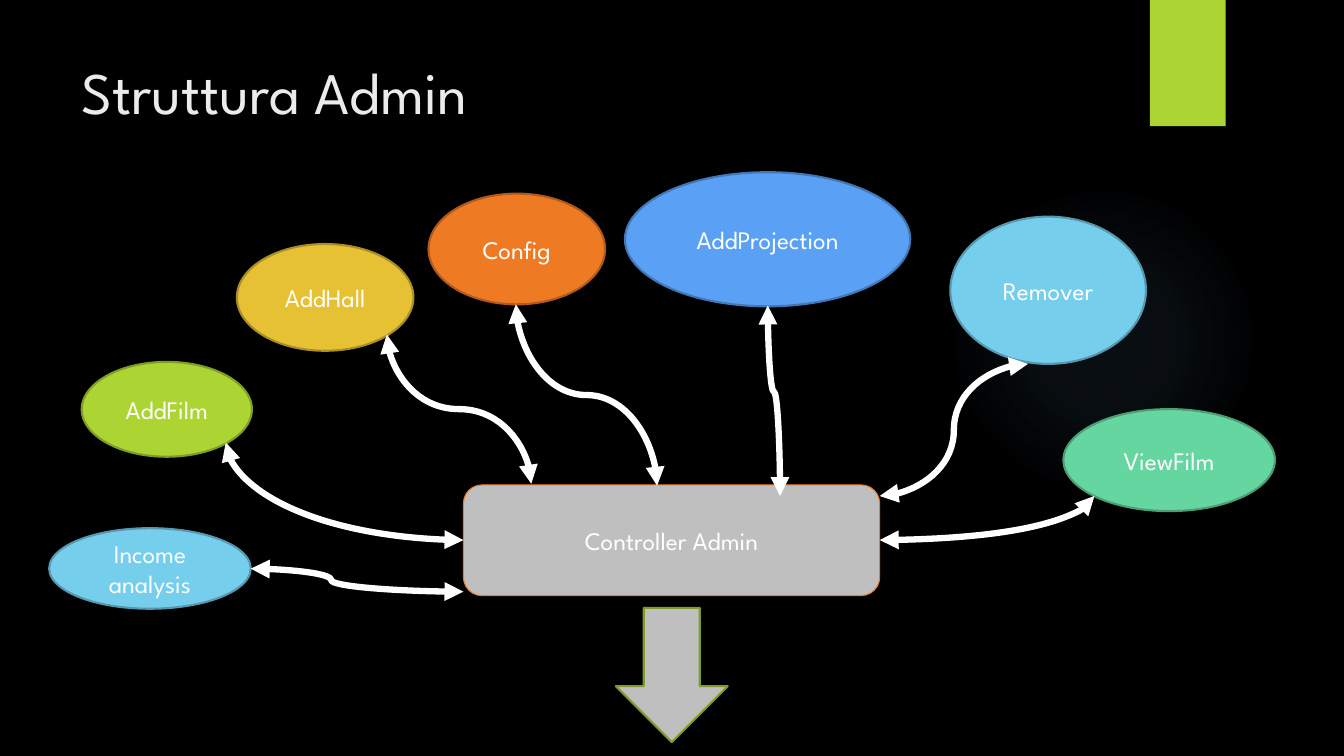
"""Build the slide that shows how the admin controller links to its screens."""
from dataclasses import dataclass

from lxml import etree
from pptx import Presentation
from pptx.dml.color import RGBColor
from pptx.enum.shapes import MSO_CONNECTOR, MSO_SHAPE
from pptx.enum.text import MSO_ANCHOR, PP_ALIGN
from pptx.oxml import parse_xml
from pptx.oxml.ns import nsdecls, qn
from pptx.shapes.autoshape import Shape
from pptx.slide import Slide
from pptx.text.text import TextFrame
from pptx.util import Cm, Pt

CURVE = MSO_CONNECTOR.CURVE
ELLIPSE = MSO_SHAPE.OVAL
RECTANGLE = MSO_SHAPE.RECTANGLE
ROUNDED = MSO_SHAPE.ROUNDED_RECTANGLE
DOWN_ARROW = MSO_SHAPE.DOWN_ARROW
CENTER, LEFT = PP_ALIGN.CENTER, PP_ALIGN.LEFT
MIDDLE, TOP = MSO_ANCHOR.MIDDLE, MSO_ANCHOR.TOP
FONT = "League Spartan"
QUARTER_TURN = 5400000
COLORS = {
    "black": "000000", "white": "FFFFFF", "title": "EBEBEB", "glow": "7AC4F0",
    "lime": "ACD433", "lime edge": "7F9D26", "gold": "E6C133", "gold edge": "AA8F26",
    "orange": "EF7A24", "orange edge": "B15A1B", "blue": "5AA0F5", "blue edge": "4376B5",
    "sky": "75CEEC", "sky edge": "5798AF", "mint": "65D6A0", "mint edge": "4B9E76",
    "gray": "BFBFBF",
}


@dataclass(frozen=True)
class Box:
    """A filled shape with its place in centimetres."""
    left: float
    top: float
    width: float
    height: float
    fill: str
    edge: str = ""
    text: str = ""
    kind: MSO_SHAPE = ELLIPSE
    edge_width: float = 1.5
    shadow: bool = False


@dataclass(frozen=True)
class Link:
    """A curved double arrow; bend is the place of its turn in percent."""
    start: tuple[float, float]
    end: tuple[float, float]
    downward: bool = True
    single_bend: bool = False
    bend: float = 50


GLOW = Box(23.9, 4.65, 7.82, 7.82, "glow")
BOXES = [
    Box(28.98, 0, 1.91, 3.18, "lime", kind=RECTANGLE, shadow=True),
    Box(2.06, 9.12, 4.29, 2.39, "lime", "lime edge", "AddFilm"),
    Box(5.97, 6.15, 4.45, 2.69, "gold", "gold edge", "AddHall"),
    Box(10.8, 4.88, 4.45, 2.79, "orange", "orange edge", "Config"),
    Box(15.75, 4.34, 7.19, 3.38, "blue", "blue edge", "AddProjection"),
    Box(23.95, 5.46, 4.93, 3.71, "sky", "sky edge", "Remover"),
    Box(26.8, 10.31, 5.33, 2.57, "mint", "mint edge", "ViewFilm"),
    Box(11.68, 12.22, 10.49, 2.79, "gray", "orange", "Controller Admin", ROUNDED, 0.75, True),
    Box(15.52, 15.32, 2.82, 3.38, "gray", "lime edge", kind=DOWN_ARROW),
    Box(1.24, 13.31, 5.08, 2.03, "sky", "sky edge", "Income analysis"),
]
LINKS = [
    Link((19.35, 7.7), (19.66, 12.5), bend=45.3),
    Link((5.69, 11.15), (11.68, 13.61), single_bend=True),
    Link((9.75, 8.43), (13.39, 12.19)),
    Link((13, 7.67), (16.56, 12.24)),
    Link((25.91, 9.17), (22.17, 12.5), downward=False),
    Link((27.58, 12.5), (22.17, 13.61), single_bend=True),
    Link((6.32, 14.33), (11.68, 14.91), downward=False, bend=37.9),
]


def color(name: str) -> RGBColor:
    """Return the named colour."""
    return RGBColor.from_string(COLORS[name])


def write(frame: TextFrame, text: str, size: float, ink: str, align: PP_ALIGN,
          anchor: MSO_ANCHOR) -> None:
    """Put one formatted paragraph into a text frame."""
    frame.text = text
    frame.word_wrap = True
    frame.vertical_anchor = anchor
    para = frame.paragraphs[0]
    para.alignment = align
    para.font.name = FONT
    para.font.size = Pt(size)
    para.font.color.rgb = color(ink)


def add_box(page: Slide, box: Box) -> Shape:
    """Draw a box with its edge, shadow and label."""
    shape = page.shapes.add_shape(
        box.kind, Cm(box.left), Cm(box.top), Cm(box.width), Cm(box.height))
    shape.shadow.inherit = False
    shape.fill.solid()
    shape.fill.fore_color.rgb = color(box.fill)
    if box.edge:
        shape.line.color.rgb = color(box.edge)
        shape.line.width = Pt(box.edge_width)
    else:
        shape.line.fill.background()
    if box.shadow:
        effects = shape.element.spPr.find(qn("a:effectLst"))
        effects.append(parse_xml(
            f'<a:outerShdw {nsdecls("a")} blurRad="{Pt(3)}" dist="{Pt(2)}" '
            f'dir="{QUARTER_TURN}" rotWithShape="0"><a:srgbClr val="{COLORS["black"]}">'
            '<a:alpha val="45000"/></a:srgbClr></a:outerShdw>'))
    if box.text:
        write(shape.text_frame, box.text, 18, "white", CENTER, MIDDLE)
    return shape


def add_glow(page: Slide) -> None:
    """Draw the soft round light that fades outwards."""
    properties = add_box(page, GLOW).element.spPr
    stops = "".join(
        f'<a:gs pos="{place}000"><a:srgbClr val="{COLORS[GLOW.fill]}">'
        f'<a:alpha val="{alpha}000"/></a:srgbClr></a:gs>'
        for place, alpha in ((0, 7), (36, 6), (69, 0)))
    gradient = parse_xml(
        f'<a:gradFill {nsdecls("a")}><a:gsLst>{stops}</a:gsLst><a:path path="circle">'
        '<a:fillToRect l="50000" t="50000" r="50000" b="50000"/></a:path></a:gradFill>')
    properties.replace(properties.find(qn("a:solidFill")), gradient)


def add_link(page: Slide, link: Link) -> None:
    """Draw a curve, turning its frame when it leaves downwards."""
    (x1, y1), (x2, y2) = link.start, link.end
    turn = 0
    if link.downward:
        turn = 3 if x2 > x1 else 1
        middle_x, middle_y = (x1 + x2) / 2, (y1 + y2) / 2
        half_width, half_height = (y2 - y1) / 2, abs(x2 - x1) / 2
        side = 1 if turn == 3 else -1
        x1, x2 = middle_x + side * half_width, middle_x - side * half_width
        y1, y2 = middle_y - half_height, middle_y + half_height
    curve = page.shapes.add_connector(CURVE, Cm(x1), Cm(y1), Cm(x2), Cm(y2))
    curve.line.color.rgb = color("white")
    curve.line.width = Pt(4.5)
    properties = curve.element.spPr
    if turn:
        properties.find(qn("a:xfrm")).set("rot", str(turn * QUARTER_TURN))
    geometry = properties.find(qn("a:prstGeom"))
    if link.single_bend:
        geometry.set("prst", "curvedConnector2")
    elif link.bend != 50:
        etree.SubElement(geometry.find(qn("a:avLst")), qn("a:gd"),
                         name="adj1", fmla=f"val {round(link.bend * 1000)}")
    outline = properties.find(qn("a:ln"))
    for tip in ("a:headEnd", "a:tailEnd"):
        etree.SubElement(outline, qn(tip), type="triangle")
    etree.SubElement(properties, qn("a:effectLst"))


def main() -> None:
    """Build and save the deck."""
    deck = Presentation()
    deck.slide_width, deck.slide_height = Cm(33.87), Cm(19.05)
    page = deck.slides.add_slide(deck.slide_layouts[5])
    page.background.fill.solid()
    page.background.fill.fore_color.rgb = color("black")
    title = page.shapes.title
    title.left, title.top, title.width, title.height = Cm(1.8), Cm(1.27), Cm(26.14), Cm(3.89)
    write(title.text_frame, "Struttura Admin", 42, "title", LEFT, TOP)
    add_glow(page)
    for box in BOXES:
        add_box(page, box)
    for link in LINKS:
        add_link(page, link)
    deck.save("out.pptx")


if __name__ == "__main__":
    main()
